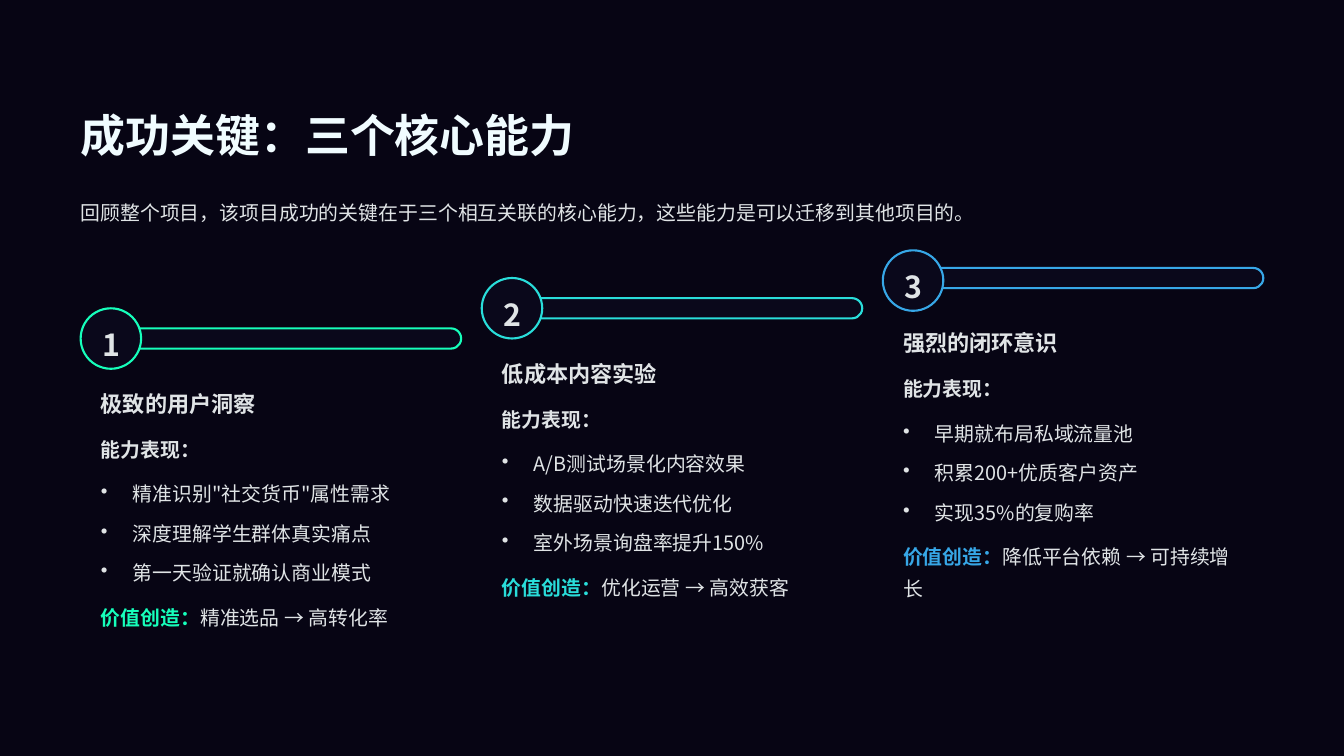
from lxml import etree
from pptx import Presentation
from pptx.dml.color import RGBColor
from pptx.enum.shapes import MSO_SHAPE
from pptx.oxml.ns import qn
from pptx.util import Pt

RECTANGLE = MSO_SHAPE.RECTANGLE
ROUNDED = MSO_SHAPE.ROUNDED_RECTANGLE
OVAL = MSO_SHAPE.OVAL

SLIDE_W, SLIDE_H = 1152, 648
NIGHT, LIGHT, TITLE_COLOR = "0A081B", "E0E4E6", "F0FCFF"
CJK_FONT = "Noto Sans CJK SC"

LEFT = 69.12
COLUMN_STEP = 343.8
BAR_TOP, BAR_RISE = 281.52, 25.92
BAR_W, BAR_H = 300.24, 17.28
BADGE_SIZE = 51.84
TEXT_INDENT = 17.28
BULLET_STEP, BULLET_INDENT = 33.84, 27.36
TEXT_W, LINE_H = 291.6, 28.08

BODY = {"size": Pt(17), "name": CJK_FONT, "bold": False}
STRONG = {**BODY, "bold": True}
HEADING = {**STRONG, "size": Pt(19)}
NUMBER = {**STRONG, "size": Pt(26)}
TITLE = {"size": Pt(38.5), "name": "Karla", "bold": True}

# colour, distance from badge top to bar top, heading, bullets, value
ABILITIES = [
    ("16FFBB", 17.28, "极致的用户洞察",
     ['精准识别"社交货币"属性需求', "深度理解学生群体真实痛点", "第一天验证就确认商业模式"],
     "精准选品 → 高转化率"),
    ("29DDDA", 17.28, "低成本内容实验",
     ["A/B测试场景化内容效果", "数据驱动快速迭代优化", "室外场景询盘率提升150%"],
     "优化运营 → 高效获客"),
    ("37A7E7", 15.12, "强烈的闭环意识",
     ["早期就布局私域流量池", "积累200+优质客户资产", "实现35%的复购率"],
     "降低平台依赖 → 可持续增长"),
]


def rgb(color):
    return RGBColor.from_string(color)


def add_panel(slide, preset, left, top, width, height, outline=None):
    panel = slide.shapes.add_shape(preset, Pt(left), Pt(top), Pt(width), Pt(height))
    panel.shadow.inherit = False
    panel.fill.solid()
    panel.fill.fore_color.rgb = rgb(NIGHT)
    if outline:
        panel.line.color.rgb = rgb(outline)
        panel.line.width = Pt(1.8)
    else:
        panel.line.fill.background()
    return panel


def add_backdrop(slide):
    """Black background under a night-blue veil of 75 % opacity."""
    fill = slide.background.fill
    fill.solid()
    fill.fore_color.rgb = rgb("000000")
    veil = add_panel(slide, RECTANGLE, 0, 0, SLIDE_W, SLIDE_H)
    veil_color = veil.fill._xPr.find(f"{qn('a:solidFill')}/{qn('a:srgbClr')}")
    etree.SubElement(veil_color, qn("a:alpha"), val="75000")


def add_bullet(paragraph):
    properties = paragraph._p.get_or_add_pPr()
    properties.set("marL", str(Pt(BULLET_INDENT)))
    properties.set("indent", str(-Pt(BULLET_INDENT)))
    etree.SubElement(properties, qn("a:buChar"), char="•")


def add_line(slide, left, top, width, height, spacing, runs, bullet=False):
    """One line of text; runs holds (text, format values, colour) tuples."""
    box = slide.shapes.add_textbox(Pt(left), Pt(top), Pt(width), Pt(height))
    frame = box.text_frame
    frame.word_wrap = False
    for side in ("left", "top", "right", "bottom"):
        setattr(frame, f"margin_{side}", 0)
    paragraph = frame.paragraphs[0]
    if bullet:
        add_bullet(paragraph)
    paragraph.line_spacing = Pt(spacing)
    for text, values, color in runs:
        run = paragraph.add_run()
        run.text = text
        for key, value in values.items():
            setattr(run.font, key, value)
        run.font.color.rgb = rgb(color)
        etree.SubElement(run._r.get_or_add_rPr(), qn("a:ea"), typeface=CJK_FONT)


def add_ability(slide, index, color, badge_rise, heading, bullets, value):
    left = LEFT + index * COLUMN_STEP
    bar_top = BAR_TOP - index * BAR_RISE
    badge_top = bar_top - badge_rise
    bar = add_panel(slide, ROUNDED, left + BADGE_SIZE / 2, bar_top, BAR_W, BAR_H, color)
    bar.adjustments[0] = 0.5
    add_panel(slide, OVAL, left, badge_top, BADGE_SIZE, BADGE_SIZE, color)
    add_line(slide, left + 19, badge_top + 5, 30, 35, 41.5,
             [(str(index + 1), NUMBER, LIGHT)])

    text_left = left + TEXT_INDENT
    add_line(slide, text_left, bar_top + 51.84, 193, 23.76, 24,
             [(heading, HEADING, LIGHT)])
    add_line(slide, text_left, bar_top + 86.4, TEXT_W, LINE_H, 27.5,
             [("能力表现：", STRONG, LIGHT)])
    for row, bullet in enumerate(bullets):
        add_line(slide, text_left, bar_top + 124.56 + row * BULLET_STEP, TEXT_W, LINE_H,
                 27.5, [(bullet, BODY, LIGHT)], bullet=True)
    add_line(slide, text_left, bar_top + 230.4, TEXT_W, LINE_H, 27.5,
             [("价值创造：", STRONG, color), (value, BODY, LIGHT)])


def main():
    deck = Presentation()
    deck.slide_width, deck.slide_height = Pt(SLIDE_W), Pt(SLIDE_H)
    slide = deck.slides.add_slide(deck.slide_layouts[6])
    add_backdrop(slide)
    add_line(slide, LEFT, 90.72, 424, 48.24, 48,
             [("成功关键：三个核心能力", TITLE, TITLE_COLOR)])
    add_line(slide, LEFT, 164.88, 1013, LINE_H, 27.5,
             [("回顾整个项目，该项目成功的关键在于三个相互关联的核心能力，这些能力是可以迁移到其他项目的。",
               BODY, LIGHT)])
    for index, ability in enumerate(ABILITIES):
        add_ability(slide, index, *ability)
    deck.save("out.pptx")


if __name__ == "__main__":
    main()
